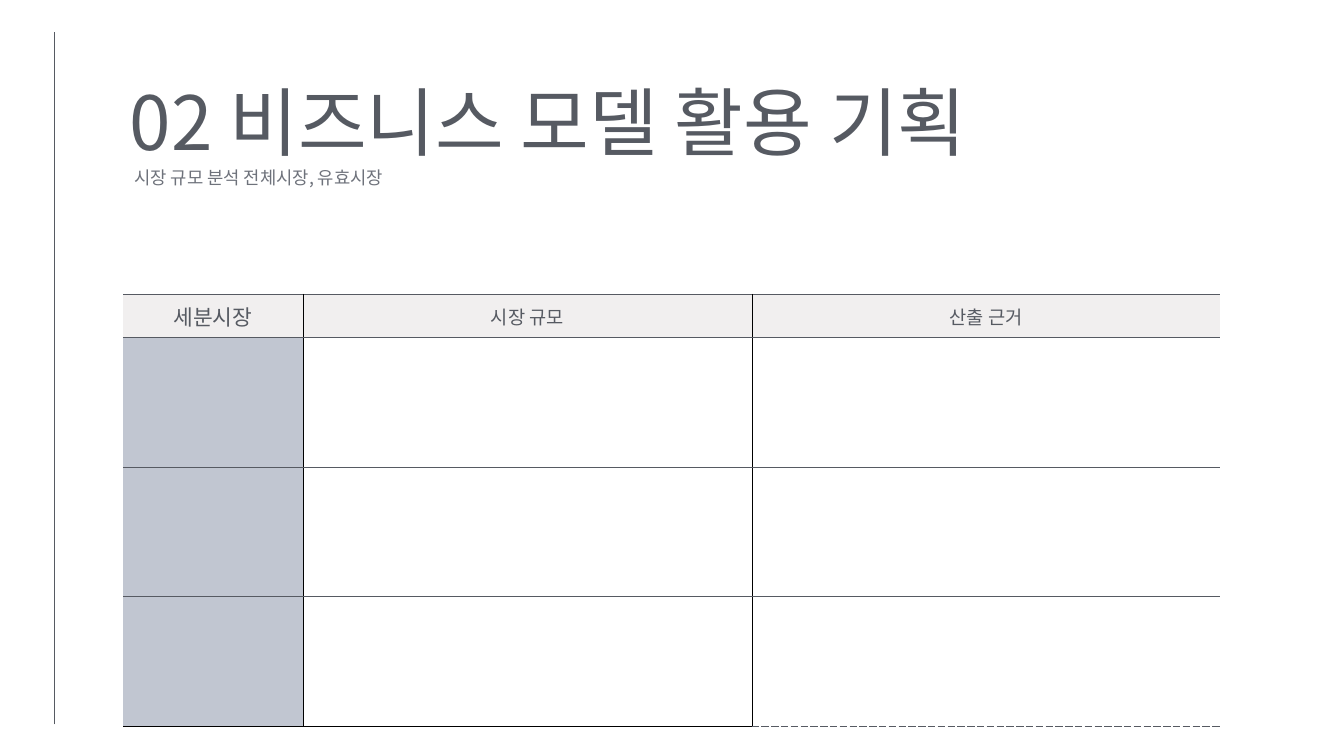
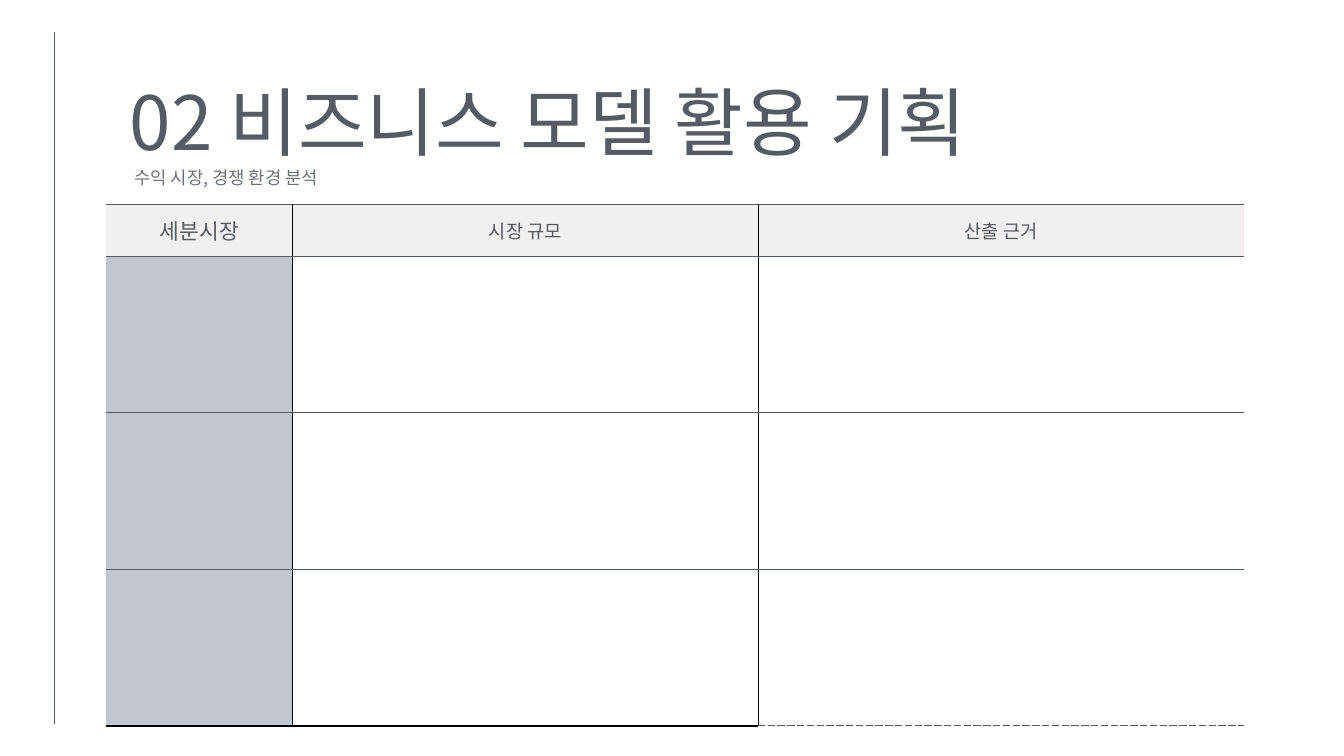
from lxml.etree import SubElement as Sub
from pptx import Presentation
from pptx.dml.color import RGBColor
from pptx.enum.shapes import MSO_CONNECTOR as Conn
from pptx.enum.text import MSO_ANCHOR as Anchor, MSO_AUTO_SIZE as Auto, PP_ALIGN as Align
from pptx.oxml.ns import qn
from pptx.util import Pt

FONT = "Noto Sans CJK KR"
INK, SOFT, BLACK = "565A62", "6E727B", "000000"
HEAD, SIDE = "F1EFEF", "C1C6D1"
TITLE = "02 비즈니스 모델 활용 기획"
HEADS = [("세분시장", 23), ("시장 규모", 20), ("산출 근거", 20)]
COLS = [0.164, 0.409, 0.427]
ROWS = [0.1, 0.3, 0.3, 0.3]
TITLE_BOX = (139, 89.3, 1072, 88.6)
NOTE_BOX = (144, 176.4, 581.8, 24.5)
PAGES = [
    ("시장 규모 분석 전체시장, 유효시장", (131.8, 315.4, 1175.8, 463)),
    ("수익 시장, 경쟁 환경 분석", (113.8, 218.9, 1219, 558.7)),
]


def color(code):
    return RGBColor.from_string(code)


def write(par, text, size, code, align):
    par.alignment = align
    run = par.add_run()
    run.text = text
    font = run.font
    font.size, font.name = Pt(size), FONT
    font.color.rgb = color(code)
    Sub(font._element, qn("a:ea"), typeface=FONT)


def place(shape, box):
    shape.left, shape.top, shape.width, shape.height = map(Pt, box)


def label(shape, box, text, size, code, align, pitch):
    place(shape, box)
    frame = shape.text_frame
    frame.margin_left = frame.margin_right = 0
    frame.margin_top = frame.margin_bottom = 0
    frame.word_wrap = True
    frame.auto_size = Auto.SHAPE_TO_FIT_TEXT
    frame.vertical_anchor = Anchor.TOP
    par = frame.paragraphs[0]
    par.line_spacing = Pt(pitch)
    write(par, text, size, code, align)


def rule(slide, x, top, end):
    line = slide.shapes.add_connector(Conn.STRAIGHT, Pt(x), Pt(end), Pt(x), Pt(top))
    line.line.color.rgb = color(INK)
    line.line.width = Pt(0.75)
    Sub(line._element.spPr, qn("a:effectLst"))


def edge(cell, side, code=None, width=0, dash="solid"):
    line = Sub(cell._tc.get_or_add_tcPr(), qn("a:ln" + side), w=str(Pt(width)))
    if code is None:
        Sub(line, qn("a:noFill"))
        return
    fill = Sub(line, qn("a:solidFill"))
    Sub(fill, qn("a:srgbClr"), val=code)
    Sub(line, qn("a:prstDash"), val=dash)


def frame_cell(cell, row, col):
    last = len(COLS) - 1
    thin, mid = (BLACK, 0.75), (INK, 1.5)
    edge(cell, "L", *(thin if col else ()))
    edge(cell, "R", *(thin if col < last else ()))
    edge(cell, "T", *mid)
    if row < len(ROWS) - 1:
        edge(cell, "B", *mid)
    elif col < last:
        edge(cell, "B", BLACK, 2.25)
    else:
        edge(cell, "B", INK, 0.75, "sysDash")


def paint(cell, code):
    if code:
        cell.fill.solid()
        cell.fill.fore_color.rgb = color(code)
    else:
        cell.fill.background()


def grid(slide, box):
    wide, high = box[2:]
    table = slide.shapes.add_table(len(ROWS), len(COLS), *map(Pt, box)).table
    table.first_row = table.horz_banding = False
    for col, part in zip(table.columns, COLS):
        col.width = Pt(wide * part)
    for r, part in enumerate(ROWS):
        table.rows[r].height = Pt(high * part)
        for c, (text, size) in enumerate(HEADS):
            cell = table.cell(r, c)
            frame_cell(cell, r, c)
            paint(cell, HEAD if r == 0 else SIDE if c == 0 else None)
            cell.margin_left = cell.margin_right = Pt(2)
            cell.margin_top = cell.margin_bottom = Pt(2)
            cell.vertical_anchor = Anchor.MIDDLE
            if r == 0:
                write(cell.text_frame.paragraphs[0], text, size, INK, Align.CENTER)


def page(deck, note, box):
    slide = deck.slides.add_slide(deck.slide_layouts[5])
    rule(slide, 58.3, 33.8, 776.2)
    label(slide.shapes.title, TITLE_BOX, TITLE, 80, INK, Align.LEFT, 88)
    grid(slide, box)
    text = slide.shapes.add_textbox(*map(Pt, NOTE_BOX))
    label(text, NOTE_BOX, note, 19, SOFT, Align.JUSTIFY, 24.7)


def main():
    deck = Presentation()
    deck.slide_width, deck.slide_height = Pt(1440), Pt(810)
    for note, box in PAGES:
        page(deck, note, box)
    deck.save("out.pptx")


if __name__ == "__main__":
    main()
